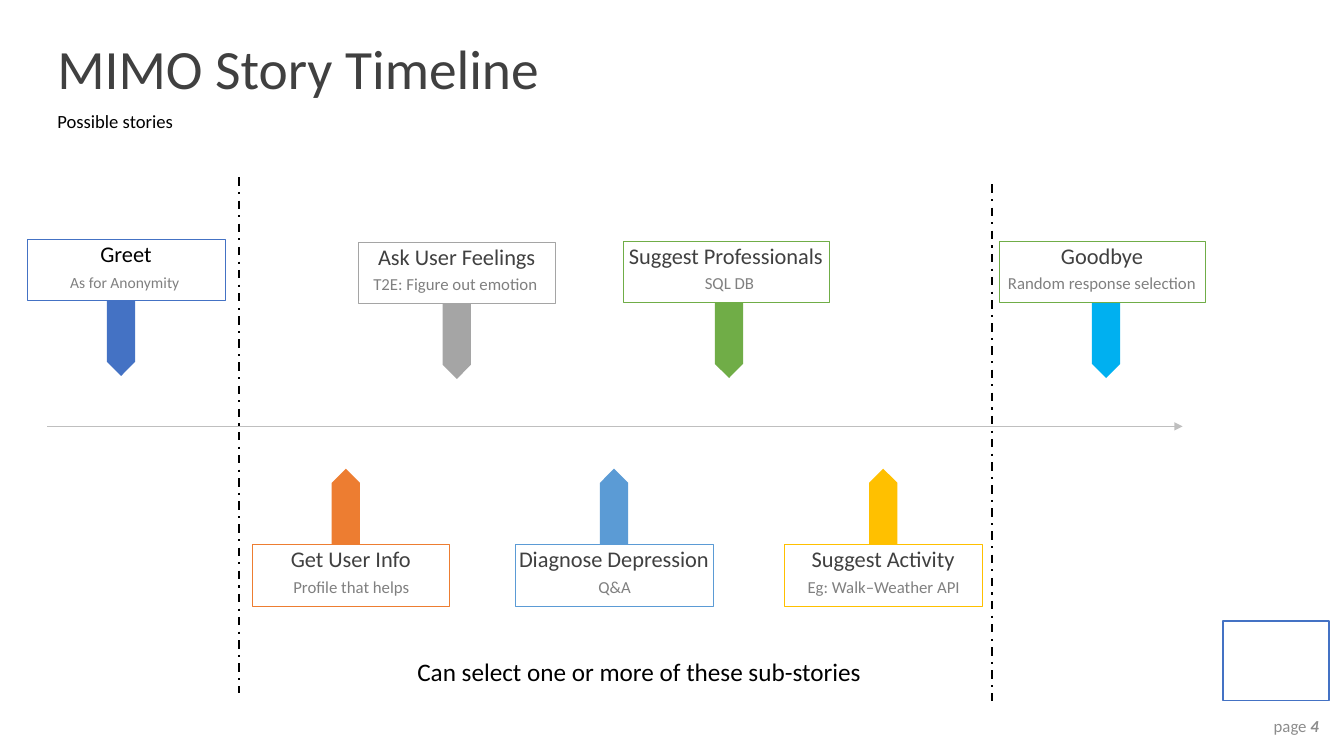
from dataclasses import dataclass

from lxml import etree
from pptx import Presentation
from pptx.dml.color import RGBColor
from pptx.enum.dml import MSO_LINE
from pptx.enum.shapes import MSO_CONNECTOR, MSO_SHAPE
from pptx.enum.text import MSO_ANCHOR, PP_ALIGN
from pptx.oxml.ns import qn
from pptx.util import Inches, Pt

RECTANGLE, PENTAGON = MSO_SHAPE.RECTANGLE, MSO_SHAPE.PENTAGON
STRAIGHT = MSO_CONNECTOR.STRAIGHT
DASH_DOT = MSO_LINE.DASH_DOT
TOP, MIDDLE = MSO_ANCHOR.TOP, MSO_ANCHOR.MIDDLE
LEFT, CENTER, RIGHT = PP_ALIGN.LEFT, PP_ALIGN.CENTER, PP_ALIGN.RIGHT

STANDARD_INSETS = (0.1, 0.05, 0.1, 0.05)
NO_INSETS = (0, 0, 0, 0)
BOX_INSETS = (0, 0.04, 0, 0)
BOX_HEIGHT, CAPTION_DROP = 0.61, 0.34
POINTER_LENGTH, POINTER_THICKNESS = 0.75, 0.28
LOWER_ROW = 5.4


@dataclass(frozen=True)
class Theme:
    """Colours, font and type sizes of the deck."""

    font: str = "Calibri"
    black: str = "000000"
    white: str = "FFFFFF"
    dark: str = "404040"
    gray: str = "808080"
    page_gray: str = "8C8C8C"
    axis: str = "BFBFBF"
    blue: str = "4472C4"
    orange: str = "ED7D31"
    silver: str = "A5A5A5"
    gold: str = "FFC000"
    light_blue: str = "5B9BD5"
    green: str = "70AD47"
    cyan: str = "00B0F0"
    title: float = 39.6
    note: float = 18
    heading: float = 16
    subtitle: float = 13.3
    caption: float = 12
    small_caption: float = 11.1


@dataclass(frozen=True)
class Story:
    """One step of the timeline with its box, caption and pointer."""

    heading: str
    caption: str
    left: float
    top: float
    pointer_center: float
    outline: str
    pointer_color: str
    caption_left: float
    width: float = 1.96
    caption_width: float = 1.85


class SlideBuilder:
    """Draws styled elements on the current slide."""

    def __init__(self, slide, theme):
        """Keep the slide and the theme."""
        self.slide = slide
        self.theme = theme

    def fill_text(self, shape, spans, size, color, align=LEFT, anchor=TOP,
                  insets=STANDARD_INSETS, spacing=1.0, before=0):
        """Put one paragraph of (text, font format) spans into a shape."""
        frame = shape.text_frame
        sides = ("margin_left", "margin_top", "margin_right", "margin_bottom")
        frame_format = {side: Inches(inset) for side, inset in zip(sides, insets)}
        frame_format.update(word_wrap=True, vertical_anchor=anchor)
        for name, value in frame_format.items():
            setattr(frame, name, value)
        para = frame.paragraphs[0]
        para_format = {"alignment": align, "line_spacing": spacing, "space_before": Pt(before)}
        for name, value in para_format.items():
            setattr(para, name, value)
        for text, extra in spans:
            span = para.add_run()
            span.text = text
            font_format = {"name": self.theme.font, "size": Pt(size), **extra}
            for name, value in font_format.items():
                setattr(span.font, name, value)
            span.font.color.rgb = RGBColor.from_string(color)

    def text(self, bounds, spans, size, color, **layout):
        """Add a text box."""
        box = self.slide.shapes.add_textbox(*map(Inches, bounds))
        self.fill_text(box, spans, size, color, **layout)

    def shape(self, kind, bounds, fill, outline=None, weight=0.25, rotation=0):
        """Add a filled preset shape."""
        shape = self.slide.shapes.add_shape(kind, *map(Inches, bounds))
        shape.shadow.inherit = False
        shape.rotation = rotation
        shape.fill.solid()
        shape.fill.fore_color.rgb = RGBColor.from_string(fill)
        if outline:
            shape.line.color.rgb = RGBColor.from_string(outline)
            shape.line.width = Pt(weight)
        else:
            shape.line.fill.background()
        return shape

    def line(self, start, end, color, weight, dash=None, arrow=False):
        """Add a straight line, optionally dashed or with an arrowhead."""
        line = self.slide.shapes.add_connector(STRAIGHT, *map(Inches, (*start, *end)))
        line.line.color.rgb = RGBColor.from_string(color)
        line.line.width = Pt(weight)
        if dash:
            line.line.dash_style = dash
        properties = line.element.spPr
        if arrow:
            outline = properties.find(qn("a:ln"))
            etree.SubElement(outline, qn("a:tailEnd"), type="triangle")
        etree.SubElement(properties, qn("a:effectLst"))

    def story(self, story, caption_size, caption_spacing, heading_color, box_insets,
              caption_insets):
        """Add the pointer, box and caption of one story."""
        lower = story.top == LOWER_ROW
        pointer_top = story.top - POINTER_LENGTH if lower else story.top + BOX_HEIGHT
        pointer = (story.pointer_center - POINTER_LENGTH / 2,
                   pointer_top + (POINTER_LENGTH - POINTER_THICKNESS) / 2,
                   POINTER_LENGTH, POINTER_THICKNESS)
        self.shape(PENTAGON, pointer, story.pointer_color, rotation=270 if lower else 90)
        box = self.shape(RECTANGLE, (story.left, story.top, story.width, BOX_HEIGHT),
                         self.theme.white, story.outline)
        self.fill_text(box, [(story.heading, {})], self.theme.heading, heading_color,
                       align=CENTER, insets=box_insets, spacing=0.9, before=10)
        self.text((story.caption_left, story.top + CAPTION_DROP, story.caption_width, 0.25),
                  [(story.caption, {})], caption_size, self.theme.gray, align=CENTER,
                  insets=caption_insets, spacing=caption_spacing, before=10)


def main():
    """Build the story timeline slide."""
    deck = Presentation()
    deck.slide_width, deck.slide_height = Inches(13.33), Inches(7.5)
    theme = Theme()
    page = SlideBuilder(deck.slides.add_slide(deck.slide_layouts[6]), theme)

    page.line((0.47, 4.23), (11.73, 4.23), theme.axis, 0.5, arrow=True)
    page.text((0.47, 0.47, 11.09, 0.47), [("MIMO Story Timeline", {})],
              theme.title, theme.dark, anchor=MIDDLE, spacing=0.9)
    page.text((0.47, 1.1, 11.09, 0.28), [("Possible stories", {})],
              theme.subtitle, theme.black, spacing=0.7, before=10)

    greeting = Story("Greet", "As for Anonymity ", 0.27, 2.37, 1.2,
                     theme.blue, theme.blue, 0.33)
    page.story(greeting, theme.small_caption, 0.7, theme.black,
               (0.1, 0.04, 0.1, 0.05), STANDARD_INSETS)
    stories = [
        Story("Get User Info", "Profile that helps", 2.5, LOWER_ROW, 3.43,
              theme.orange, theme.orange, 2.56),
        Story("Ask User Feelings", "T2E: Figure out emotion ", 3.55, 2.4, 4.53,
              theme.silver, theme.silver, 3.61),
        Story("Suggest Activity", "Eg: Walk–Weather API", 7.78, LOWER_ROW, 8.76,
              theme.gold, theme.gold, 7.84),
        Story("Diagnose Depression", "Q&A", 5.11, LOWER_ROW, 6.09,
              theme.light_blue, theme.light_blue, 5.17),
        Story("Suggest Professionals", "SQL DB", 6.18, 2.39, 7.23,
              theme.green, theme.green, 6.31, 2.04),
        Story("Goodbye", "Random response selection", 9.91, 2.39, 10.97,
              theme.green, theme.cyan, 9.91, 2.04, 2.04),
    ]
    for story in stories:
        page.story(story, theme.caption, 0.9, theme.dark, BOX_INSETS, NO_INSETS)

    page.text((12.13, 7.06, 1.05, 0.29), [("page ", {}), ("4", {"bold": True, "italic": True})],
              theme.caption, theme.page_gray, align=RIGHT, anchor=MIDDLE)
    for left, top in ((2.37, 1.76), (9.84, 1.83)):
        page.line((left, top), (left, top + 5.12), theme.black, 1.5, dash=DASH_DOT)
    page.text((4.04, 6.46, 4.71, 0.4), [("Can select one or more of these sub-stories", {})],
              theme.note, theme.black)
    page.shape(RECTANGLE, (12.13, 6.16, 1.05, 0.79), theme.white, theme.blue, weight=1)

    deck.save("out.pptx")


if __name__ == "__main__":
    main()
